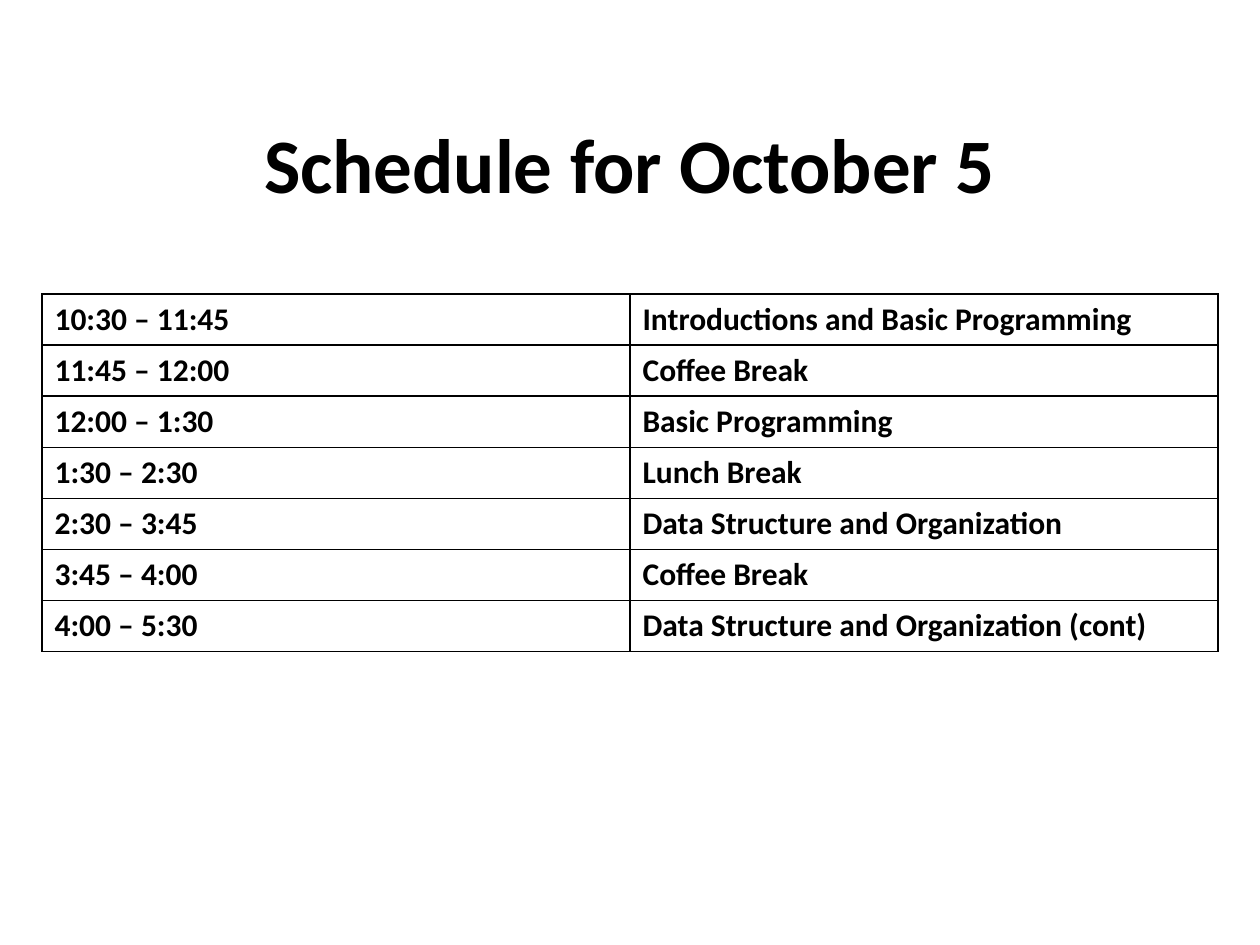
import lxml.etree
import pptx
import pptx.dml.color
import pptx.enum.text
import pptx.oxml.ns
import pptx.util

Pt = pptx.util.Pt
BLACK = pptx.dml.color.RGBColor(0x00, 0x00, 0x00)
BORDER_WIDTH = Pt(0.96)
ROW_HEIGHT = Pt(29.2)
COLUMN_WIDTH = Pt(336)
SCHEDULE = [
    ("10:30 – 11:45", "Introductions and Basic Programming"),
    ("11:45 – 12:00", "Coffee Break"),
    ("12:00 – 1:30", "Basic Programming"),
    ("1:30 – 2:30", "Lunch Break"),
    ("2:30 – 3:45", "Data Structure and Organization"),
    ("3:45 – 4:00", "Coffee Break"),
    ("4:00 – 5:30", "Data Structure and Organization (cont)"),
]


def write_text(frame, text, size, align, bold=True, color=BLACK, font="Calibri"):
    para = frame.paragraphs[0]
    para.alignment = align
    span = para.add_run()
    span.text = text
    span.font.name = font
    span.font.size = Pt(size)
    span.font.bold = bold
    span.font.color.rgb = color


def add_borders(cell, color=BLACK, width=BORDER_WIDTH):
    qn = pptx.oxml.ns.qn
    properties = cell._tc.get_or_add_tcPr()
    for side in ("a:lnL", "a:lnR", "a:lnT", "a:lnB"):
        line = lxml.etree.SubElement(properties, qn(side), w=str(int(width)))
        fill = lxml.etree.SubElement(line, qn("a:solidFill"))
        lxml.etree.SubElement(fill, qn("a:srgbClr"), val=str(color))


deck = pptx.Presentation()
deck.slide_width = Pt(720)
deck.slide_height = Pt(540)
page = deck.slides.add_slide(deck.slide_layouts[5])

title = page.shapes.title
title.left, title.top, title.width, title.height = Pt(36), Pt(48), Pt(648), Pt(90)
title.text_frame.vertical_anchor = pptx.enum.text.MSO_ANCHOR.MIDDLE
write_text(title.text_frame, "Schedule for October 5", size=44,
           align=pptx.enum.text.PP_ALIGN.CENTER)

table = page.shapes.add_table(
    len(SCHEDULE), 2, Pt(24), Pt(168), COLUMN_WIDTH * 2, ROW_HEIGHT * len(SCHEDULE)
).table
table.first_row = False
table.horz_banding = False
for column in table.columns:
    column.width = COLUMN_WIDTH

for row, entries in zip(table.rows, SCHEDULE):
    row.height = ROW_HEIGHT
    for cell, text in zip(row.cells, entries):
        add_borders(cell)
        cell.fill.background()
        write_text(cell.text_frame, text, size=18,
                   align=pptx.enum.text.PP_ALIGN.LEFT)

deck.save("out.pptx")
